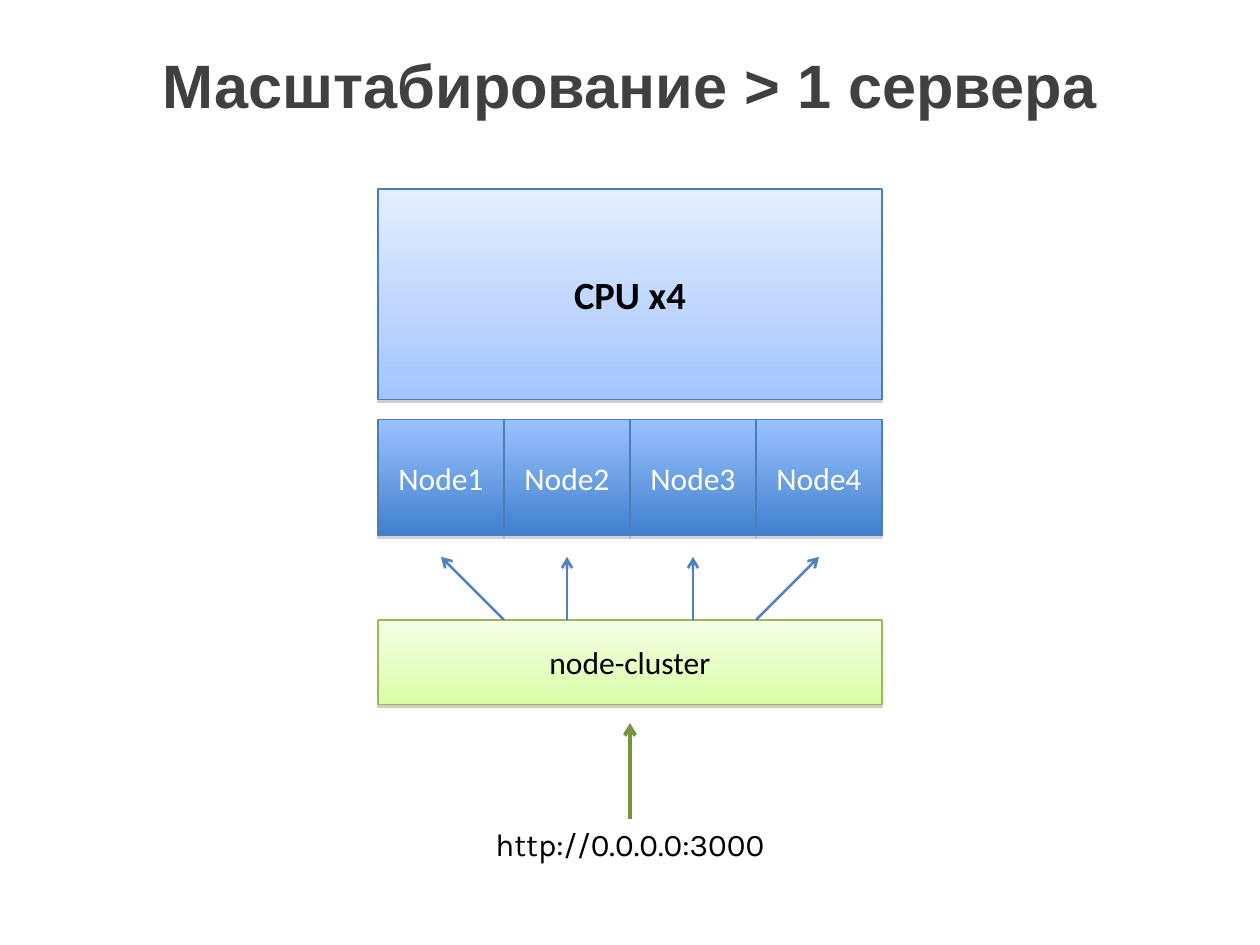
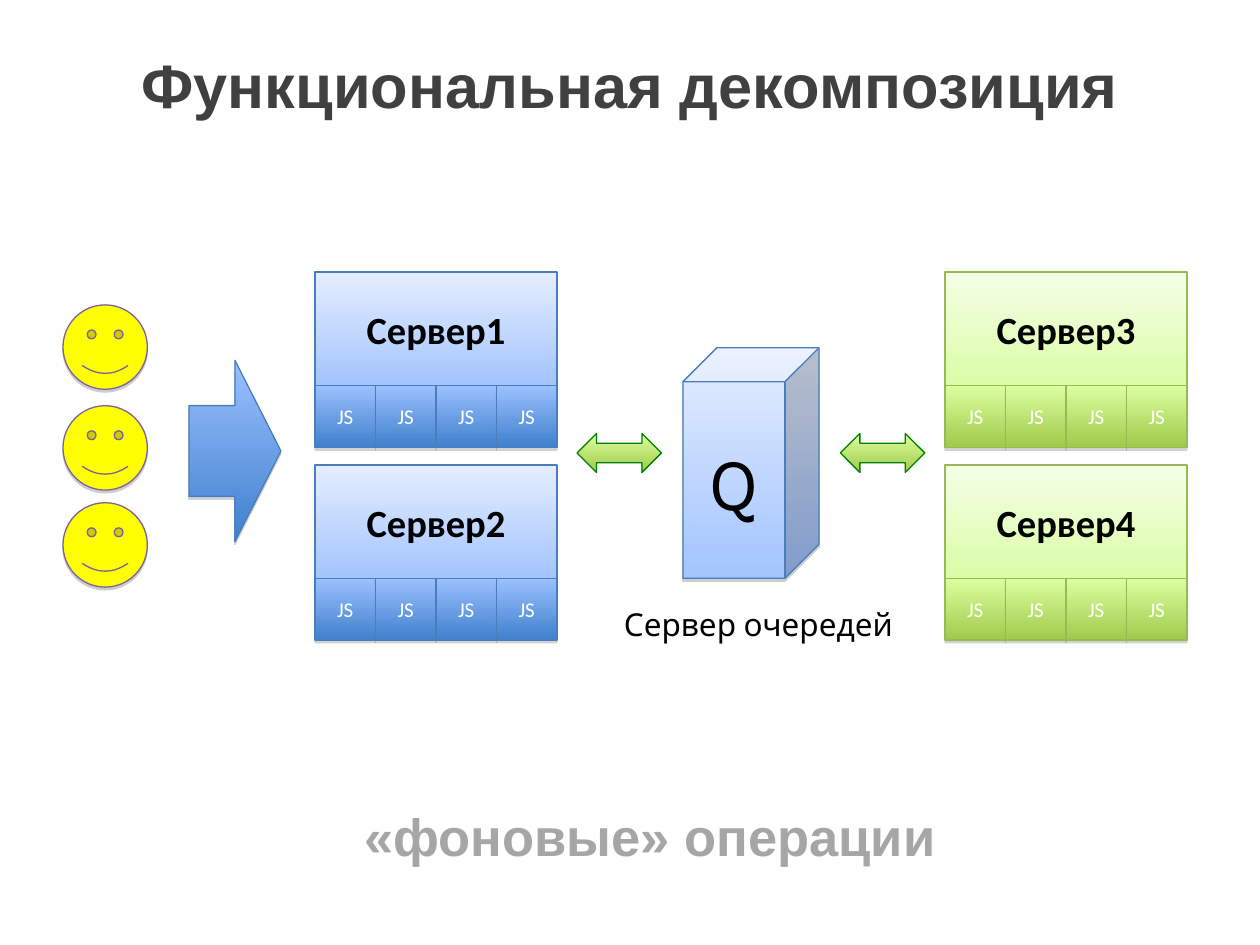
from lxml import etree
from pptx import Presentation
from pptx.dml.color import RGBColor
from pptx.enum.shapes import MSO_CONNECTOR, MSO_SHAPE
from pptx.enum.text import MSO_ANCHOR, PP_ALIGN
from pptx.oxml.ns import qn
from pptx.util import Inches, Pt

RECTANGLE = MSO_SHAPE.RECTANGLE
SMILEY = MSO_SHAPE.SMILEY_FACE
RIGHT_ARROW = MSO_SHAPE.RIGHT_ARROW
DOUBLE_ARROW = MSO_SHAPE.LEFT_RIGHT_ARROW
CUBE = MSO_SHAPE.CUBE
STRAIGHT = MSO_CONNECTOR.STRAIGHT
CENTER = PP_ALIGN.CENTER
TOP, MIDDLE = MSO_ANCHOR.TOP, MSO_ANCHOR.MIDDLE

# Content
CLUSTER_TITLE = "Масштабирование > 1 сервера"
CPU = "CPU x4"
NODES = ["Node1", "Node2", "Node3", "Node4"]
CLUSTER = "node-cluster"
ADDRESS = "http://0.0.0.0:3000"

QUEUE_TITLE = "Функциональная декомпозиция"
SERVERS = [  # column left, colour family, names from top to bottom
    (2.5, "blue", ["Сервер1", "Сервер2"]),
    (7.5, "green", ["Сервер3", "Сервер4"]),
]
WORKERS = ["JS"] * 4
QUEUE, QUEUE_LABEL = "Q", "Сервер очередей"
CAPTION = "«фоновые» операции"

# Styles: (fill stops, line colour, shadow opacity in percent or None)
STYLES = {
    "light blue": (("E5EEFF", "A3C4FF"), "4A7EBB", 38),
    "dark blue": (("9BC1FF", "3F80CD"), "4A7EBB", 35),
    "light green": (("F5FFE6", "DAFDA7"), "98B954", 38),
    "dark green": (("DCFFA0", "A0CA4A"), "98B954", 35),
    "exchange": (("DCFFA0", "A0CA4A"), "008000", None),
    "user": (("FFFF00",), "7D60A0", 38),
}
# Text styles: (font, size, colour, bold)
TITLE = ("Arial", 35, "404040", True)
CAPTION_TEXT = ("Arial", 30, "A6A6A6", True)
HEADING = ("Calibri", 22, "000000", True)
NODE_TEXT = ("Calibri", 18, "FFFFFF", False)
CLUSTER_TEXT = ("Calibri", 18, "000000", False)
WORKER_TEXT = ("Calibri", 12, "FFFFFF", False)
LABEL = ("Karla", 18, "000000", False)
QUEUE_TEXT = ("Karla", 43, "000000", False)


def color(value):
    return RGBColor.from_string(value)


def write(box, text, style, anchor, wrap=True):
    frame = box.text_frame
    frame.word_wrap = wrap
    frame.vertical_anchor = anchor
    para = frame.paragraphs[0]
    para.alignment = CENTER
    span = para.add_run()
    span.text = text
    font, size, ink, bold = style
    span.font.name = font
    span.font.size = Pt(size)
    span.font.color.rgb = color(ink)
    span.font.bold = bold


def add_text(page, place, text, style, wrap=True):
    box = page.shapes.add_textbox(*map(Inches, place))
    write(box, text, style, TOP, wrap)
    return box


def add_shadow(shape, opacity):
    effects = shape._element.spPr.find(qn("a:effectLst"))
    shadow = etree.SubElement(effects, qn("a:outerShdw"), blurRad="0",
                              dist=str(Pt(1.6)), dir="5400000", rotWithShape="0")
    ink = etree.SubElement(shadow, qn("a:srgbClr"), val="808080")
    etree.SubElement(ink, qn("a:alpha"), val=str(opacity * 1000))


def add_part(shapes, kind, place, style, text=None, text_style=None):
    stops, line, opacity = STYLES[style]
    shape = shapes.add_shape(kind, *map(Inches, place))
    shape.shadow.inherit = False
    if len(stops) == 1:
        shape.fill.solid()
        shape.fill.fore_color.rgb = color(stops[0])
    else:
        shape.fill.gradient()
        shape.fill.gradient_angle = 270
        for stop, value in zip(shape.fill.gradient_stops, stops):
            stop.color.rgb = color(value)
    shape.line.color.rgb = color(line)
    shape.line.width = Pt(0.75)
    if opacity:
        add_shadow(shape, opacity)
    if text:
        write(shape, text, text_style, MIDDLE)
    return shape


def add_row(shapes, left, top, width, height, style, texts, text_style):
    for index, text in enumerate(texts):
        place = (left + index * width, top, width, height)
        add_part(shapes, RECTANGLE, place, style, text, text_style)


def add_arrow(page, start, end, ink, weight):
    arrow = page.shapes.add_connector(STRAIGHT, *map(Inches, start + end))
    arrow.line.color.rgb = color(ink)
    arrow.line.width = Pt(weight)
    etree.SubElement(arrow.line._get_or_add_ln(), qn("a:tailEnd"), type="arrow")
    etree.SubElement(arrow._element.spPr, qn("a:effectLst"))
    return arrow


def add_page(deck, title):
    page = deck.slides.add_slide(deck.slide_layouts[6])
    add_text(page, (0.75, 0.33, 8.5, 0.83), title, TITLE)
    return page


def add_server(page, left, top, family, name):
    width, height = 1.92, 0.9
    group = page.shapes.add_group_shape()
    add_part(group.shapes, RECTANGLE, (left, top, width, height),
             "light " + family, name, HEADING)
    add_row(group.shapes, left, top + height, width / len(WORKERS), 0.49,
            "dark " + family, WORKERS, WORKER_TEXT)


def build_cluster(deck):
    page = add_page(deck, CLUSTER_TITLE)
    left, width, cluster_top = 3, 4, 4.92

    # Processor, nodes and cluster
    add_part(page.shapes, RECTANGLE, (left, 1.5, width, 1.67), "light blue", CPU, HEADING)
    add_row(page.shapes, left, 3.33, width / len(NODES), 0.92, "dark blue", NODES, NODE_TEXT)
    add_part(page.shapes, RECTANGLE, (left, cluster_top, width, 0.67),
             "light green", CLUSTER, CLUSTER_TEXT)

    # Arrows from the cluster to the nodes
    for index, start in enumerate([4, 4.5, 5.5, 6]):
        add_arrow(page, (start, cluster_top), (left + index + 0.5, 4.42), "4F81BD", 1.5)

    # Incoming request
    address = add_text(page, (3.83, 6.5, 2.34, 0.4), ADDRESS, LABEL, wrap=False)
    request = add_arrow(page, (5, 6.5), (5, 5.74), "77933C", 2.25)
    request.begin_connect(address, 0)


def build_queue(deck):
    page = add_page(deck, QUEUE_TITLE)

    # Users and their requests
    for top in (2.42, 3.22, 3.99):
        face = add_part(page.shapes, SMILEY, (0.5, top, 0.67, 0.67), "user")
        face.adjustments[0] = 0.09
    add_part(page.shapes, RIGHT_ARROW, (1.5, 2.86, 0.73, 1.44), "dark blue")

    # Servers
    for left, family, names in SERVERS:
        for row, name in enumerate(names):
            add_server(page, left, 2.16 + row * 1.53, family, name)

    # Queue between the servers
    for left in (4.58, 6.67):
        add_part(page.shapes, DOUBLE_ARROW, (left, 3.44, 0.67, 0.31), "exchange")
    add_part(page.shapes, CUBE, (5.42, 2.76, 1.08, 1.83), "light blue", QUEUE, QUEUE_TEXT)
    add_text(page, (4.85, 4.75, 2.34, 0.4), QUEUE_LABEL, LABEL, wrap=False)

    add_text(page, (0.91, 6.33, 8.5, 0.83), CAPTION, CAPTION_TEXT)


def main():
    deck = Presentation()
    deck.slide_width, deck.slide_height = Inches(10), Inches(7.5)
    build_cluster(deck)
    build_queue(deck)
    deck.save("out.pptx")


if __name__ == "__main__":
    main()
